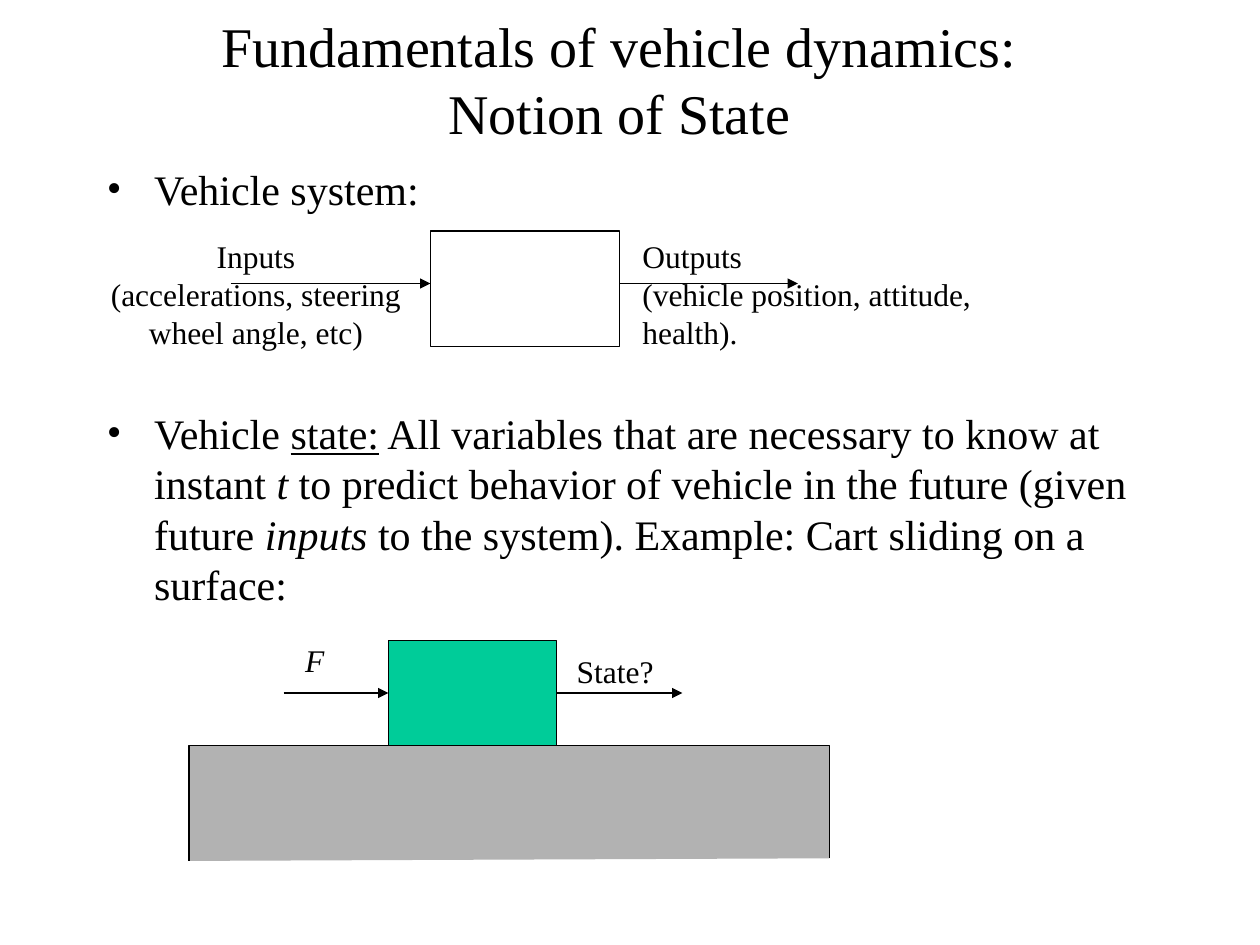
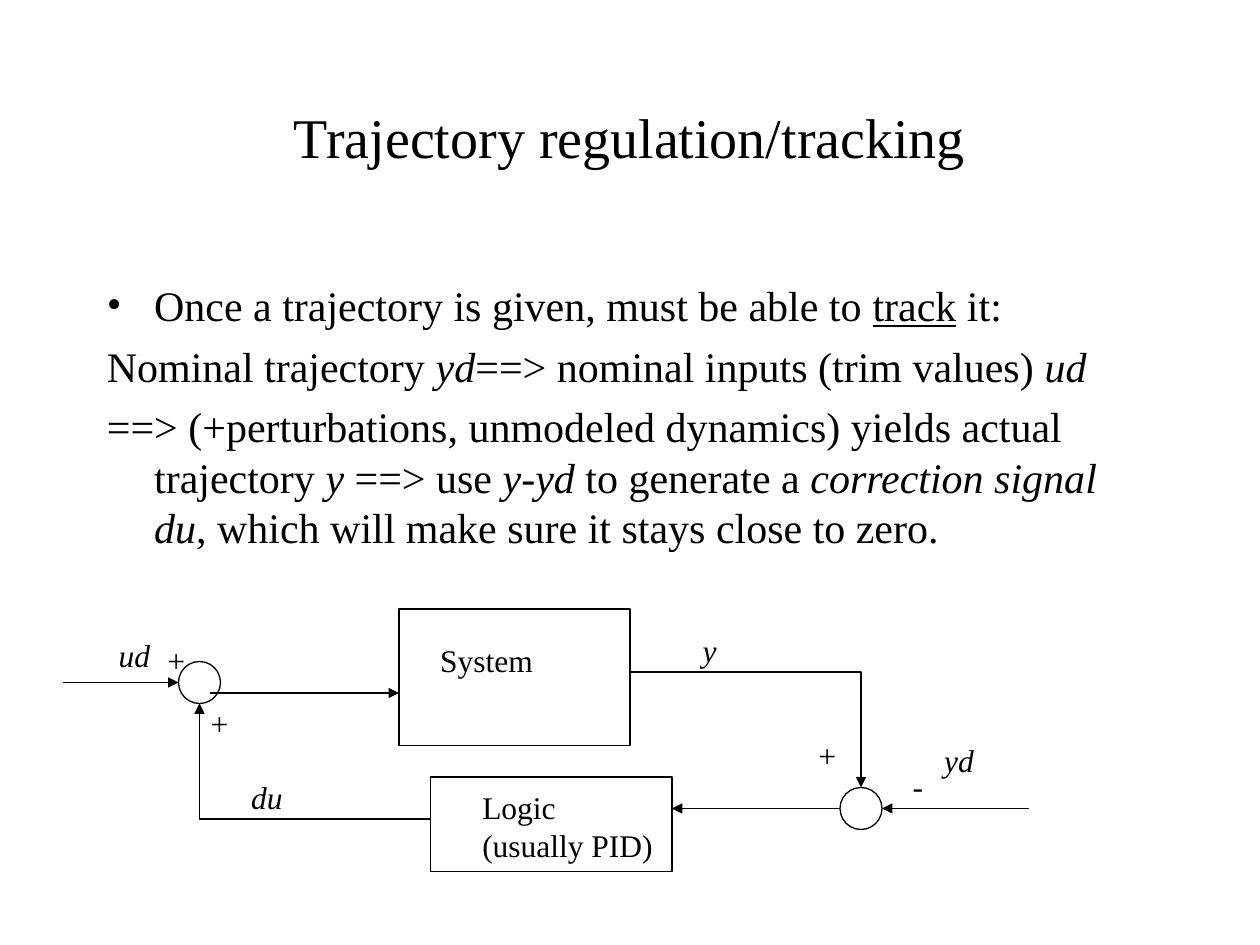
import pptx
import pptx.dml.color
import pptx.enum.shapes
import pptx.enum.text
import pptx.oxml
import pptx.oxml.ns
import pptx.util

PX = 9525
FONT = "Times New Roman"
COLORS = {"ink": "000000", "ground": "B2B2B2", "cart": "00CC99"}
SIZES = {"title": 32, "body": 24, "label": 18}
SHAPES = pptx.enum.shapes.MSO_SHAPE
ALIGN = pptx.enum.text.PP_ALIGN
ANCHOR = pptx.enum.text.MSO_ANCHOR


def rgb(name):
    """Return the named colour."""
    return pptx.dml.color.RGBColor.from_string(COLORS[name])


def element(tag, **attributes):
    """Return a new drawing element with the given attributes."""
    node = pptx.oxml.parse_xml(f"<a:{tag} {pptx.oxml.ns.nsdecls('a')}/>")
    for key, value in attributes.items():
        node.set(key, str(value))
    return node


class Sketch:
    """Draw styled elements on the current page, measured in px."""

    def __init__(self, deck):
        """Keep the deck to which pages are added."""
        self.deck = deck
        self.page = None

    def new_page(self):
        """Start a blank page."""
        self.page = self.deck.slides.add_slide(self.deck.slide_layouts[6])

    def style(self, para, size, italic=None):
        """Format every run of a paragraph."""
        for span in para.runs:
            span.font.name = FONT
            span.font.size = pptx.util.Pt(SIZES[size])
            span.font.color.rgb = rgb("ink")
            if italic:
                span.font.italic = True

    def text_box(self, left, top, width, height, wrap):
        """Add an empty text box and return its frame."""
        box = self.page.shapes.add_textbox(left * PX, top * PX, width * PX, height * PX)
        box.text_frame.word_wrap = wrap
        return box.text_frame

    def title(self, text, left, top, height):
        """Add the centred page title."""
        frame = self.text_box(left, top, 816, height, True)
        frame.vertical_anchor = ANCHOR.MIDDLE
        frame.text = text
        frame.paragraphs[0].alignment = ALIGN.CENTER
        self.style(frame.paragraphs[0], "title")

    def body(self, top, height, paragraphs):
        """Add body text from (bulleted, space before, spans) entries."""
        frame = self.text_box(72, top, 816, height, True)
        for index, (bulleted, before, spans) in enumerate(paragraphs):
            para = frame.add_paragraph() if index else frame.paragraphs[0]
            properties = para._p.get_or_add_pPr()
            properties.set("marL", str(36 * PX))
            properties.set("indent", str(-36 * PX))
            if bulleted:
                properties.append(element("buFont", typeface=FONT))
                properties.append(element("buChar", char="•"))
            else:
                properties.append(element("buNone"))
            para.space_before = pptx.util.Pt(before)
            for text, look in spans:
                span = para.add_run()
                span.text = text
                span.font.italic = look == "italic"
                span.font.underline = look == "underline"
            self.style(para, "body")

    def label(self, text, left, top, width=36, height=38, italic=False, align=ALIGN.LEFT):
        """Add a small unwrapped label that fits its text."""
        frame = self.text_box(left, top, width, height, False)
        frame.auto_size = pptx.enum.text.MSO_AUTO_SIZE.SHAPE_TO_FIT_TEXT
        frame.text = text
        for para in frame.paragraphs:
            para.alignment = align
            self.style(para, "label", italic)

    def outline(self, shape, fill=None):
        """Give a shape the thin outline and an optional fill."""
        shape.shadow.inherit = False
        if fill:
            shape.fill.solid()
            shape.fill.fore_color.rgb = rgb(fill)
        else:
            shape.fill.background()
        self.stroke(shape)

    def stroke(self, item, arrow=False):
        """Set the line of a shape or connector."""
        item.line.color.rgb = rgb("ink")
        item.line.width = pptx.util.Pt(0.75)
        if arrow:
            item.line._get_or_add_ln().append(element("tailEnd", type="triangle"))

    def block(self, left, top, width, height, fill=None, kind=SHAPES.RECTANGLE):
        """Add a preset shape."""
        shape = self.page.shapes.add_shape(kind, left * PX, top * PX, width * PX, height * PX)
        self.outline(shape, fill)
        return shape

    def junction(self, left, top):
        """Add a summing circle."""
        self.block(left, top, 32, 32, kind=SHAPES.OVAL)

    def arrow(self, start, end, y, source=None, target=None):
        """Add a horizontal arrow, joined to the given rectangles."""
        line = self.page.shapes.add_connector(
            pptx.enum.shapes.MSO_CONNECTOR.STRAIGHT, start * PX, y * PX, end * PX, y * PX)
        if source is not None:
            line.begin_connect(source, 3)
        if target is not None:
            line.end_connect(target, 1)
        self.stroke(line, arrow=True)
        line._element.spPr.append(element("effectLst"))

    def outline_path(self, points, fill=None, arrow=False):
        """Add an open outline through the points."""
        builder = self.page.shapes.build_freeform(*points[0], scale=float(PX))
        builder.add_line_segments(points[1:], close=False)
        shape = builder.convert_to_shape()
        self.outline(shape, fill)
        if arrow:
            self.stroke(shape, arrow=True)


def state_page(sketch):
    """Draw the page on the notion of state."""
    sketch.new_page()
    sketch.title("Fundamentals of vehicle dynamics:\vNotion of State", 64, 0, 120)
    sketch.body(120, 520, [
        (True, 0, [("Vehicle system:", "")]),
        (True, 110.5, [
            ("Vehicle ", ""), ("state:", "underline"),
            (" All variables that are necessary to know at instant ", ""), ("t", "italic"),
            (" to predict behavior of vehicle in the future (given future ", ""),
            ("inputs", "italic"),
            (" to the system). Example: Cart sliding on a surface:", "")]),
    ])
    sketch.arrow(176, 328, 216)
    sketch.block(328, 176, 144, 88)
    sketch.arrow(472, 608, 216)
    sketch.label("Inputs\n(accelerations, steering \nwheel angle, etc)",
                 72, 176, 246, 96, align=ALIGN.CENTER)
    sketch.label("Outputs\n(vehicle position, attitude,\nhealth).", 480, 176, 270, 96)

    sketch.outline_path([(144, 656), (144, 568), (632, 568), (632, 654)], fill="ground")
    cart = sketch.block(296, 488, 128, 80, fill="cart")
    sketch.arrow(216, 296, 528, target=cart)
    sketch.label("F", 223, 484, 34, italic=True)
    sketch.arrow(424, 520, 528, source=cart)
    sketch.label("State?", 430, 492, 78)


def tracking_page(sketch):
    """Draw the page on trajectory tracking."""
    sketch.new_page()
    sketch.title("Trajectory regulation/tracking", 72, 64, 80)
    sketch.body(208, 432, [
        (True, 0, [("Once a trajectory is given, must be able to ", ""),
                   ("track", "underline"), (" it:", "")]),
        (False, 6, [("Nominal trajectory ", ""), ("yd", "italic"),
                    ("==> nominal inputs (trim values) ", ""), ("ud", "italic")]),
        (False, 6, [
            ("==> (+perturbations, unmodeled dynamics) yields actual trajectory ", ""),
            ("y ", "italic"), ("==> use ", ""), ("y-yd", "italic"),
            (" to generate a ", ""), ("correction signal du", "italic"),
            (", which will make sure it stays close to zero.", "")]),
    ])
    sketch.block(304, 464, 176, 104)
    sketch.label("System", 326, 484, 92)
    sketch.block(328, 592, 184, 72)
    sketch.label("Logic\n(usually PID)", 358, 596, 150, 67)
    sketch.junction(136, 504)
    sketch.junction(640, 600)

    for start, end, y in [(48, 136, 520), (160, 304, 528), (784, 672, 616), (640, 512, 616)]:
        sketch.arrow(start, end, y)
    sketch.outline_path([(480, 512), (656, 512), (656, 600)], arrow=True)
    sketch.outline_path([(328, 624), (152, 624), (152, 536)], arrow=True)

    for signal, left, top in [("ud", 81, 480), ("y", 526, 476), ("yd", 710, 560), ("du", 182, 588)]:
        sketch.label(signal, left, top, 43 if len(signal) > 1 else 30, italic=True)
    for sign, left, top in [("+", 118, 484), ("+", 151, 532), ("+", 614, 556), ("-", 686, 580)]:
        sketch.label(sign, left, top, 33 if sign == "+" else 27)


def main():
    """Build and save the deck."""
    deck = pptx.Presentation()
    deck.slide_width, deck.slide_height = 960 * PX, 720 * PX
    sketch = Sketch(deck)
    state_page(sketch)
    tracking_page(sketch)
    deck.save("out.pptx")


if __name__ == "__main__":
    main()
